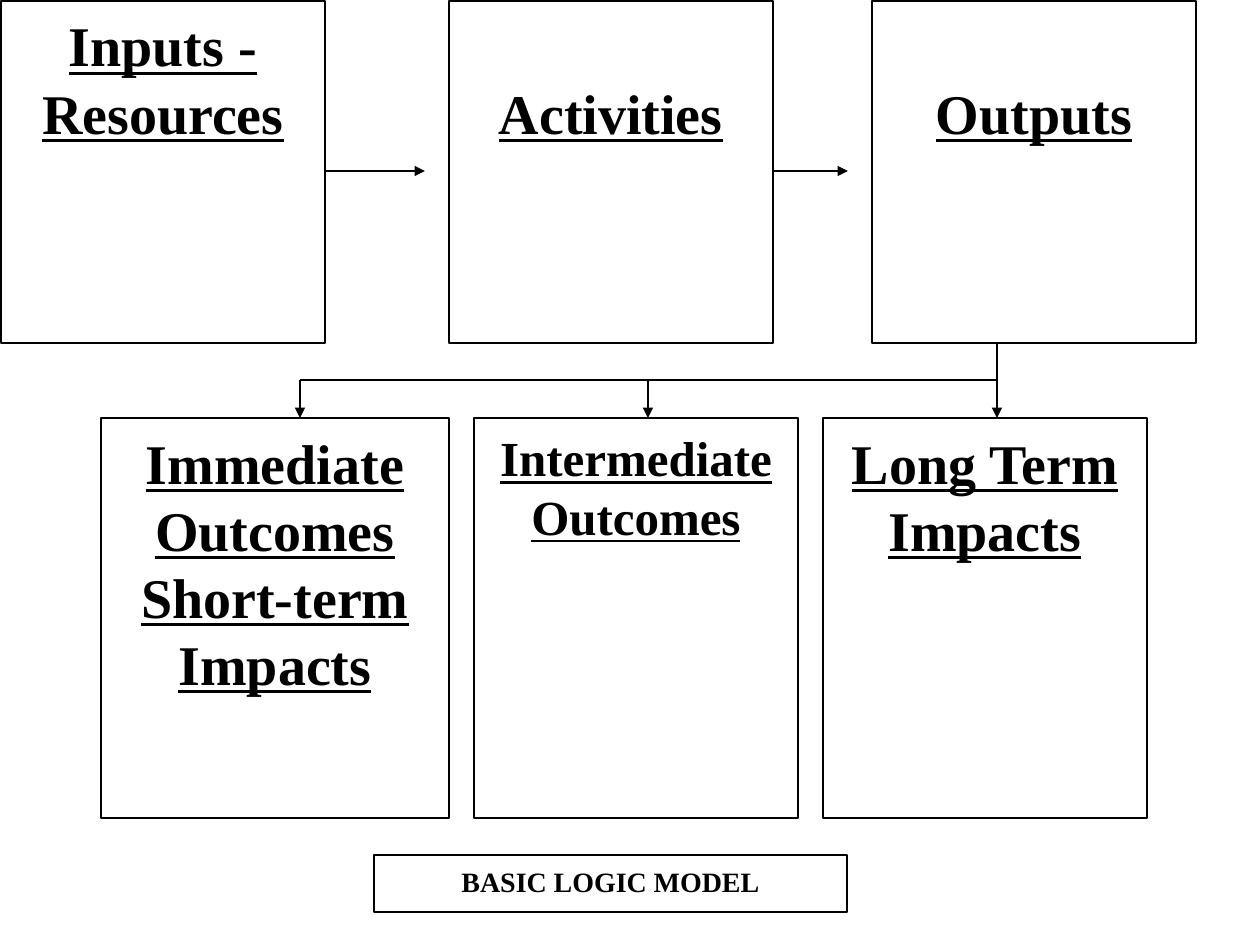
from lxml.etree import SubElement
from pptx import Presentation
from pptx.dml.color import RGBColor
from pptx.enum.shapes import MSO_CONNECTOR, MSO_SHAPE
from pptx.enum.text import MSO_ANCHOR, MSO_AUTO_SIZE, PP_ALIGN
from pptx.oxml.ns import qn
from pptx.util import Emu, Pt

PX = 914400 // 126
FONT = "Times New Roman"
BLACK, WHITE = "000000", "FFFFFF"
LINE_PITCH = 1.2  # line height as a multiple of the text size
INSET_X, INSET_TOP = 13, 10

TITLE = ("BASIC LOGIC MODEL", (374, 855, 473, 57))
TOP_Y, TOP_HEIGHT, BOX_WIDTH = 1, 342, 324
OUTCOME_Y, OUTCOME_HEIGHT = 418, 400

# left, paragraphs, lines left free above the text
STAGES = [
    (1, ["Inputs - Resources"], 0),
    (449, ["Activities"], 1),
    (872, ["Outputs"], 1),
]
# left, width, paragraphs, text size
OUTCOMES = [
    (101, 348, ["Immediate Outcomes", "Short-term Impacts"], 32),
    (474, BOX_WIDTH, ["Intermediate Outcomes"], 28),
    (823, BOX_WIDTH, ["Long Term Impacts"], 32),
]
FLOW_Y, BRANCH_Y = 171, 380
FLOW_ARROWS = [(325, 425), (772, 848)]
BRANCH_XS = [300, 648, 997]


def px(value):
    return Emu(value * PX)


def color(hex_text):
    return RGBColor.from_string(hex_text)


def outline(shape):
    shape.line.color.rgb = color(BLACK)
    shape.line.width = Pt(0.75)


def style_box(box):
    box.fill.solid()
    box.fill.fore_color.rgb = color(WHITE)
    outline(box)


def write(box, paragraphs, size=32, underline=True, free_lines=0):
    frame = box.text_frame
    frame.word_wrap = True
    frame.auto_size = MSO_AUTO_SIZE.NONE
    frame.vertical_anchor = MSO_ANCHOR.TOP
    frame.margin_left = frame.margin_right = px(INSET_X)
    frame.margin_top = px(INSET_TOP) + free_lines * Pt(size * LINE_PITCH)
    frame.margin_bottom = px(6)
    for index, text in enumerate(paragraphs):
        para = frame.add_paragraph() if index else frame.paragraphs[0]
        para.alignment = PP_ALIGN.CENTER
        para.line_spacing = Pt(size * LINE_PITCH)
        para.space_before = Pt(0)
        span = para.add_run()
        span.text = text
        span.font.name = FONT
        span.font.size = Pt(size)
        span.font.bold = True
        span.font.underline = underline
        span.font.color.rgb = color(BLACK)


def add_box(page, left, top, width, height, paragraphs, **text_format):
    box = page.shapes.add_shape(
        MSO_SHAPE.RECTANGLE, px(left), px(top), px(width), px(height))
    box.shadow.inherit = False
    style_box(box)
    write(box, paragraphs, **text_format)


def add_line(page, start, end, arrow=True):
    line = page.shapes.add_connector(
        MSO_CONNECTOR.STRAIGHT, *map(px, start + end))
    outline(line)
    if arrow:
        SubElement(line.line._get_or_add_ln(), qn("a:tailEnd"), type="triangle")
    SubElement(line._element.spPr, qn("a:effectLst"))


def main():
    deck = Presentation()
    deck.slide_width, deck.slide_height = px(1260), px(945)
    page = deck.slides.add_slide(deck.slide_layouts[5])

    for left, paragraphs, free_lines in STAGES:
        add_box(page, left, TOP_Y, BOX_WIDTH, TOP_HEIGHT, paragraphs,
                free_lines=free_lines)
    for left, width, paragraphs, size in OUTCOMES:
        add_box(page, left, OUTCOME_Y, width, OUTCOME_HEIGHT, paragraphs, size=size)

    for start_x, end_x in FLOW_ARROWS:
        add_line(page, (start_x, FLOW_Y), (end_x, FLOW_Y))
    add_line(page, (BRANCH_XS[-1], BRANCH_Y), (BRANCH_XS[0], BRANCH_Y), arrow=False)
    for x in BRANCH_XS:
        start_y = TOP_Y + TOP_HEIGHT if x == BRANCH_XS[-1] else BRANCH_Y
        add_line(page, (x, start_y), (x, OUTCOME_Y))

    text, place = TITLE
    title = page.shapes.title
    title.left, title.top, title.width, title.height = map(px, place)
    style_box(title)
    write(title, [text], size=16, underline=False)

    deck.save("out.pptx")


if __name__ == "__main__":
    main()
